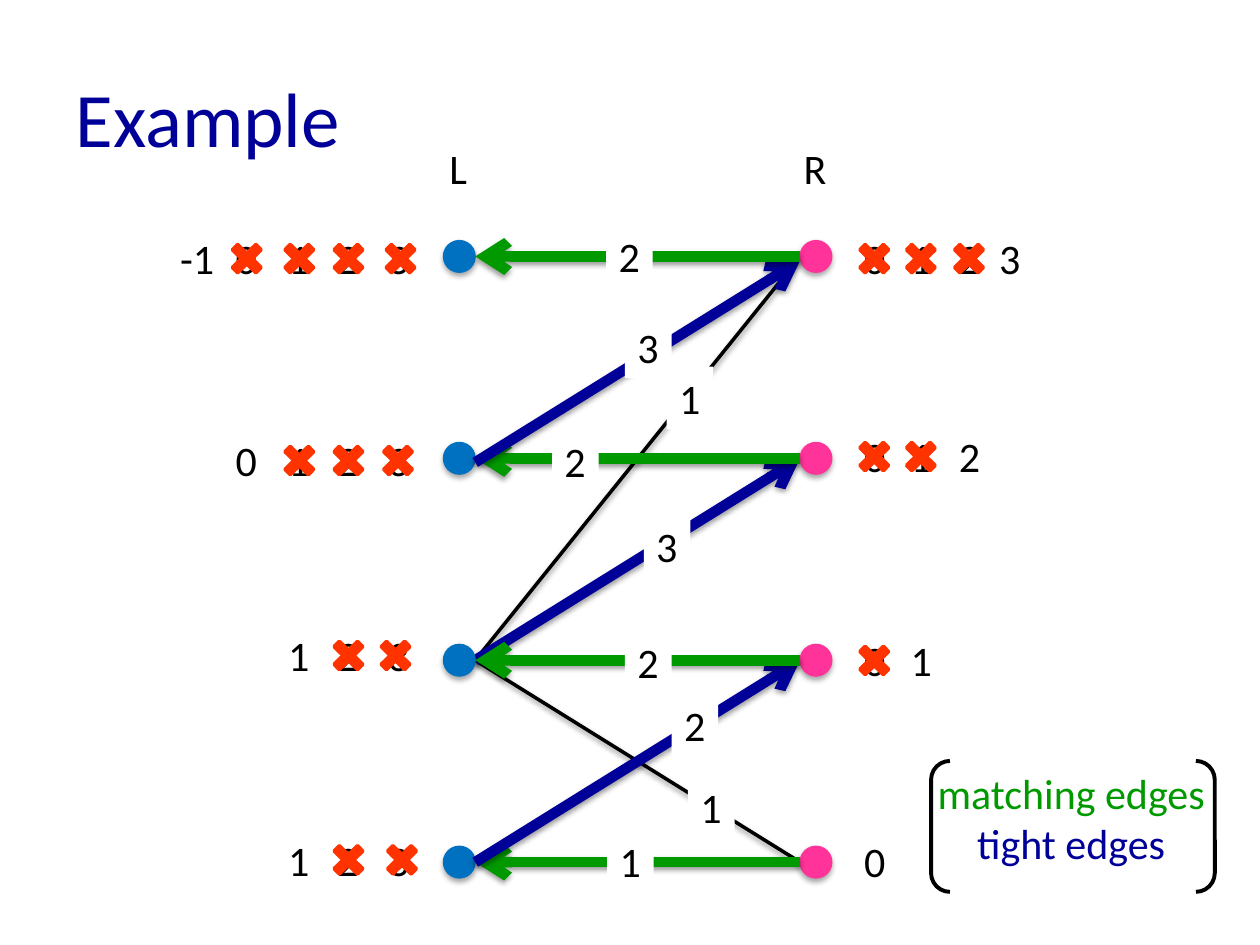
from lxml.etree import SubElement as Sub
from pptx import Presentation
from pptx.dml.color import RGBColor as Rgb
from pptx.enum.shapes import MSO_CONNECTOR as Link, MSO_SHAPE as Kind
from pptx.enum.text import MSO_ANCHOR as Anchor, MSO_AUTO_SIZE as Fit, PP_ALIGN as Align
from pptx.oxml.ns import qn
from pptx.util import Cm, Pt

HUES = {
    "black": "000000", "white": "FFFFFF", "tight": "000099", "match": "009900",
    "left": "0070C0", "right": "FF3399", "cross": "FF3300",
}
TOP, STEP = 5.17, 4.07          # centre of the first row, row pitch
LEFT, RIGHT, DOT = 8.94, 16.13, 0.64
CELL = (0.94, 1.27)             # box of a single digit
SIGN = 0.3                      # extra width for a minus sign


def hue(name):
    return Rgb.from_string(HUES[name])


def put(obj, vals):
    for key, val in vals.items():
        setattr(obj, key, val)


def row(i):
    return TOP + STEP * i


class Board:
    font = {"name": "Calibri", "size": Pt(24)}
    frame = {"auto_size": Fit.SHAPE_TO_FIT_TEXT, "word_wrap": False}

    def __init__(self, slide):
        self.slide = slide
        self.shapes = slide.shapes

    def ink(self, part, text, color, **extra):
        run = part.add_run()
        run.text = text
        put(run.font, {**self.font, **extra})
        run.font.color.rgb = hue(color)

    def title(self, text, x, y, w, h):
        head = self.shapes.title
        put(head, {"left": Cm(x), "top": Cm(y), "width": Cm(w), "height": Cm(h)})
        head.text_frame.vertical_anchor = Anchor.MIDDLE
        part = head.text_frame.paragraphs[0]
        part.alignment = Align.LEFT
        self.ink(part, text, "tight", size=Pt(44))

    def text(self, lines, x, y, w=CELL[0], h=CELL[1], fill=None, **style):
        box = self.shapes.add_textbox(Cm(x), Cm(y), Cm(w), Cm(h))
        put(box.text_frame, {**self.frame, **style})
        if fill:
            box.fill.solid()
            box.fill.fore_color.rgb = hue(fill)
        for i, (line, color) in enumerate(lines):
            part = box.text_frame.paragraphs[0] if i == 0 else box.text_frame.add_paragraph()
            part.alignment = Align.CENTER if len(lines) > 1 else Align.LEFT
            self.ink(part, line, color)

    def label(self, num, x, y, fill=None):
        wide = CELL[0] + (SIGN if num < 0 else 0)
        self.text([(str(num), "black")], x, y, wide, fill=fill)

    def shade(self, shape, alpha, dist):
        props = shape._element.spPr
        fx = props.find(qn("a:effectLst"))
        if fx is None:
            fx = Sub(props, qn("a:effectLst"))
        drop = Sub(fx, qn("a:outerShdw"), blurRad="40000", dist=str(dist),
                   dir="5400000", rotWithShape="0")
        tone = Sub(drop, qn("a:srgbClr"), val=HUES["black"])
        Sub(tone, qn("a:alpha"), val=str(alpha * 1000))

    def shape(self, kind, x, y, w, h, line, width, fill=None, adj=None):
        item = self.shapes.add_shape(kind, Cm(x), Cm(y), Cm(w), Cm(h))
        item.shadow.inherit = False
        item.line.color.rgb = hue(line)
        item.line.width = Pt(width)
        if fill:
            item.fill.solid()
            item.fill.fore_color.rgb = hue(fill)
        else:
            item.fill.background()
        if adj:
            item.adjustments[0] = adj
        return item

    def node(self, x, i, color):
        dot = self.shape(Kind.OVAL, x, row(i) - DOT / 2, DOT, DOT, color, 0.75, color)
        self.shade(dot, 35, 23000)

    def cross(self, x, y):
        self.shape(Kind.MATH_MULTIPLY, x, y, 0.91, 0.89, "cross", 2, "cross", 0.17)

    def edge(self, start, end, color, width=6, tip=None):
        line = self.shapes.add_connector(
            Link.STRAIGHT, Cm(LEFT + DOT), Cm(row(start)), Cm(RIGHT), Cm(row(end)))
        line.line.color.rgb = hue(color)
        line.line.width = Pt(width)
        if tip:
            Sub(line.line._get_or_add_ln(), qn("a:" + tip), type="arrow")
        self.shade(line, 38, 20000)


def main():
    deck = Presentation()
    deck.slide_width, deck.slide_height = Cm(25.4), Cm(19.05)
    board = Board(deck.slides.add_slide(deck.slide_layouts[5]))
    board.title("Example", 1.27, 0.76, 22.86, 3.18)

    # Edges behind the nodes
    for end in (0, 3):
        board.edge(2, end, "black", 2)
    board.edge(2, 1, "tight", tip="tailEnd")

    # Nodes and side names
    for name, x, wide, spot, color in (("L", 8.81, 0.86, LEFT, "left"),
                                       ("R", 15.95, 0.97, RIGHT, "right")):
        board.text([(name, "black")], x, 2.74, wide)
        for i in range(4):
            board.node(spot, i, color)

    # Edges in front: matching ones point left, tight ones right
    for start, end in ((3, 3), (1, 1), (1.02, 0.02), (0, 0), (3, 2), (2, 2)):
        if start == end:
            board.edge(start, end, "match", tip="headEnd")
        else:
            board.edge(start, end, "tight", tip="tailEnd")

    # Edge weights
    for weight, x, y in (
        (2, 12.22, 4.52), (3, 12.6, 6.35), (1, 13.44, 7.39),
        (2, 11.13, 8.66), (3, 12.98, 10.36), (2, 12.6, 12.7),
        (2, 13.54, 13.97), (1, 13.87, 15.62), (1, 12.24, 16.71),
    ):
        board.label(weight, x, y, "white")

    # Left prices: they fall from 3 to the last value
    slots = {-1: 3.38, 0: 4.5, 1: 5.56, 2: 6.55, 3: 7.57}
    for last, y, first in ((-1, 4.57, 7.62), (0, 8.64, 7.57),
                           (1, 12.57, 7.52), (1, 16.69, 7.65)):
        for val in range(3, last - 1, -1):
            board.label(val, slots[val], y)
            if val > last:
                board.cross(first if val == 3 else slots[val] + 0.02, y + 0.2)

    # Right prices: they rise from 0 to the last value
    slots = (17.17, 18.11, 19.08, 19.89)
    for last, y in ((3, 4.57), (2, 8.56), (1, 12.67), (0, 16.71)):
        for val in range(last + 1):
            board.label(val, slots[val], y)
            if val < last:
                board.cross(slots[val], y + 0.2)

    # Legend
    board.text([("matching edges", "match"), ("tight edges", "tight")],
               18.47, 15.34, 6.25, 2.31, word_wrap=True)
    board.shape(Kind.DOUBLE_BRACKET, 18.77, 15.34, 5.72, 2.64, "black", 2.25, adj=0.144)

    deck.save("out.pptx")


if __name__ == "__main__":
    main()
